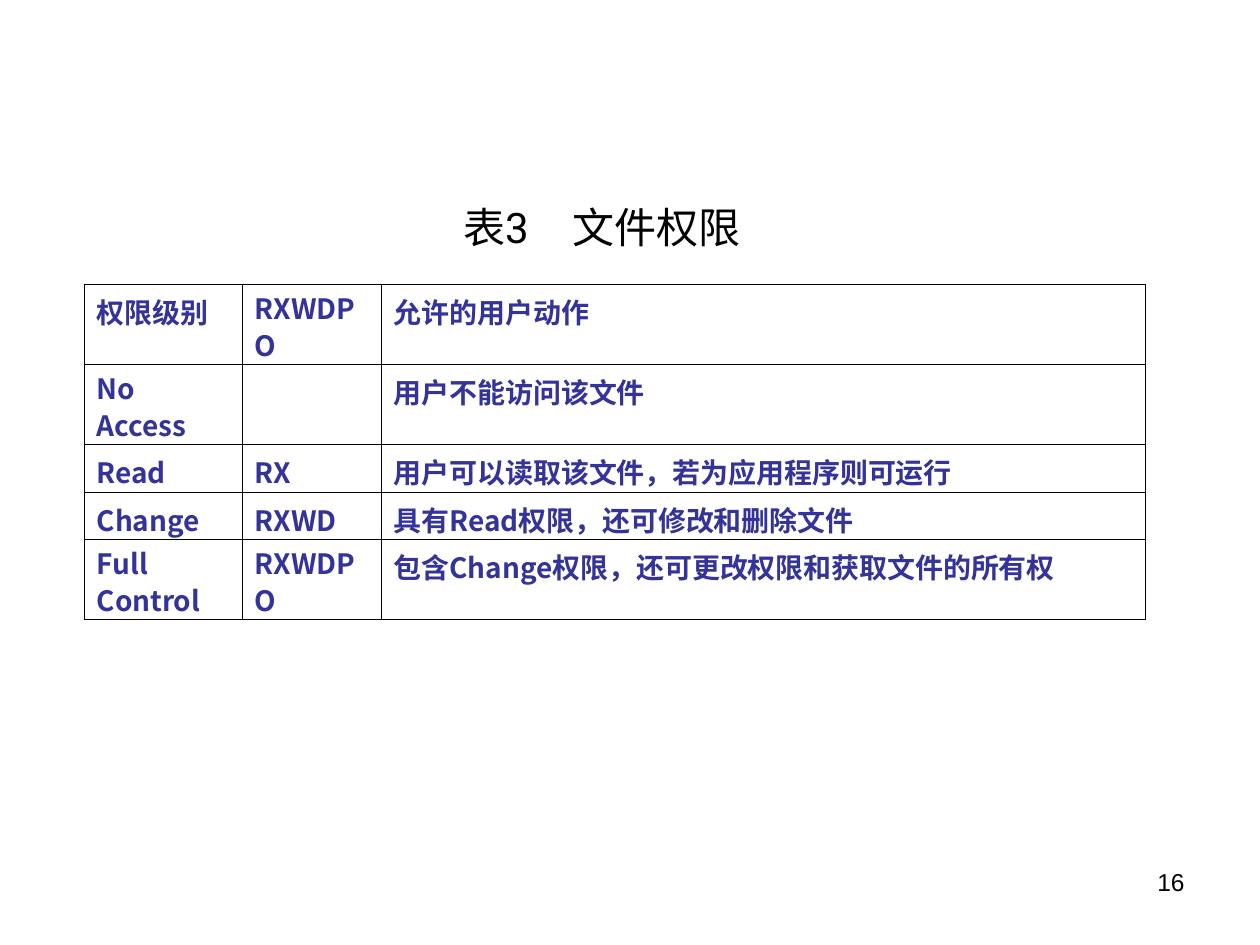
"""Build a slide with a table of file permission levels."""
from lxml import etree
from pptx import Presentation
from pptx.dml.color import RGBColor
from pptx.enum.text import MSO_ANCHOR, PP_ALIGN
from pptx.oxml import parse_xml
from pptx.oxml.ns import nsdecls, qn
from pptx.util import Cm, Pt

LEFT, RIGHT = PP_ALIGN.LEFT, PP_ALIGN.RIGHT
MIDDLE = MSO_ANCHOR.MIDDLE
BLACK, INDIGO = "000000", "333399"
CJK_FONT = "Noto Sans CJK SC"


def style(font, name, size, color, bold=False):
    """Set the look of a paragraph or run font."""
    font.size, font.bold = Pt(size), bold
    font.color.rgb = RGBColor.from_string(color)
    font.name = name


prs = Presentation()
prs.slide_width, prs.slide_height = Cm(25.4), Cm(19.05)
slide = prs.slides.add_slide(prs.slide_layouts[5])

caption = slide.shapes.title
caption.left, caption.top, caption.width, caption.height = Cm(9.08), Cm(3.92), Cm(6.4), Cm(1.28)
caption.text_frame.word_wrap = True
caption.text_frame.vertical_anchor = MIDDLE
caption_line = caption.text_frame.paragraphs[0]
caption_line.alignment = LEFT
tabs = etree.SubElement(caption_line._p.get_or_add_pPr(), qn("a:tabLst"))
etree.SubElement(tabs, qn("a:tab"), pos=str(Cm(2.2)), algn="l")
for wording, font_name in (("表", "Arial"), ("3\t", "Roboto"), ("文件权限", "Arial")):
    part = caption_line.add_run()
    part.text = wording
    style(part.font, font_name, 24, BLACK)

column_widths = [3.19, 2.8, 15.4]
row_heights = [1.6, 1.61, 0.97, 0.95, 1.6]
permissions = [
    ("权限级别", "RXWDPO", "允许的用户动作"),
    ("No Access", "", "用户不能访问该文件"),
    ("Read", "RX", "用户可以读取该文件，若为应用程序则可运行"),
    ("Change", "RXWD", "具有Read权限，还可修改和删除文件"),
    ("Full Control", "RXWDPO", "包含Change权限，还可更改权限和获取文件的所有权"),
]
two_line_entries = {"RXWDPO", "No Access", "Full Control"}
table = slide.shapes.add_table(
    len(row_heights), len(column_widths), Cm(1.7), Cm(5.73),
    Cm(sum(column_widths)), Cm(sum(row_heights))).table
table.first_row = table.horz_banding = False
for column, width in zip(table.columns, column_widths):
    column.width = Cm(width)

for row, height, entries in zip(table.rows, row_heights, permissions):
    row.height = Cm(height)
    for cell, entry in zip(row.cells, entries):
        cell.margin_left = cell.margin_right = Cm(0.25)
        cell.margin_top, cell.margin_bottom = Cm(0.13), Cm(0)
        properties = cell._tc.get_or_add_tcPr()
        for side in "LRTB":
            properties.append(parse_xml(
                f'<a:ln{side} {nsdecls("a")} w="{Pt(0.45)}"><a:solidFill>'
                f'<a:srgbClr val="{BLACK}"/></a:solidFill></a:ln{side}>'))
        cell.fill.background()
        cell.text = entry
        paragraph = cell.text_frame.paragraphs[0]
        if entry in two_line_entries:
            paragraph.line_spacing = Pt(21)
        style(paragraph.font, CJK_FONT, 16, INDIGO, bold=True)
        defaults = paragraph._p.pPr.find(qn("a:defRPr"))
        etree.SubElement(defaults, qn("a:ea"), typeface=CJK_FONT)

page_number = slide.shapes.add_textbox(Cm(18.2), Cm(17.35), Cm(5.93), Cm(1.32)).text_frame
page_number.word_wrap = True
page_number.text = "16"
page_line = page_number.paragraphs[0]
page_line.alignment = RIGHT
style(page_line.font, "Arial", 14, BLACK)

prs.save("out.pptx")
